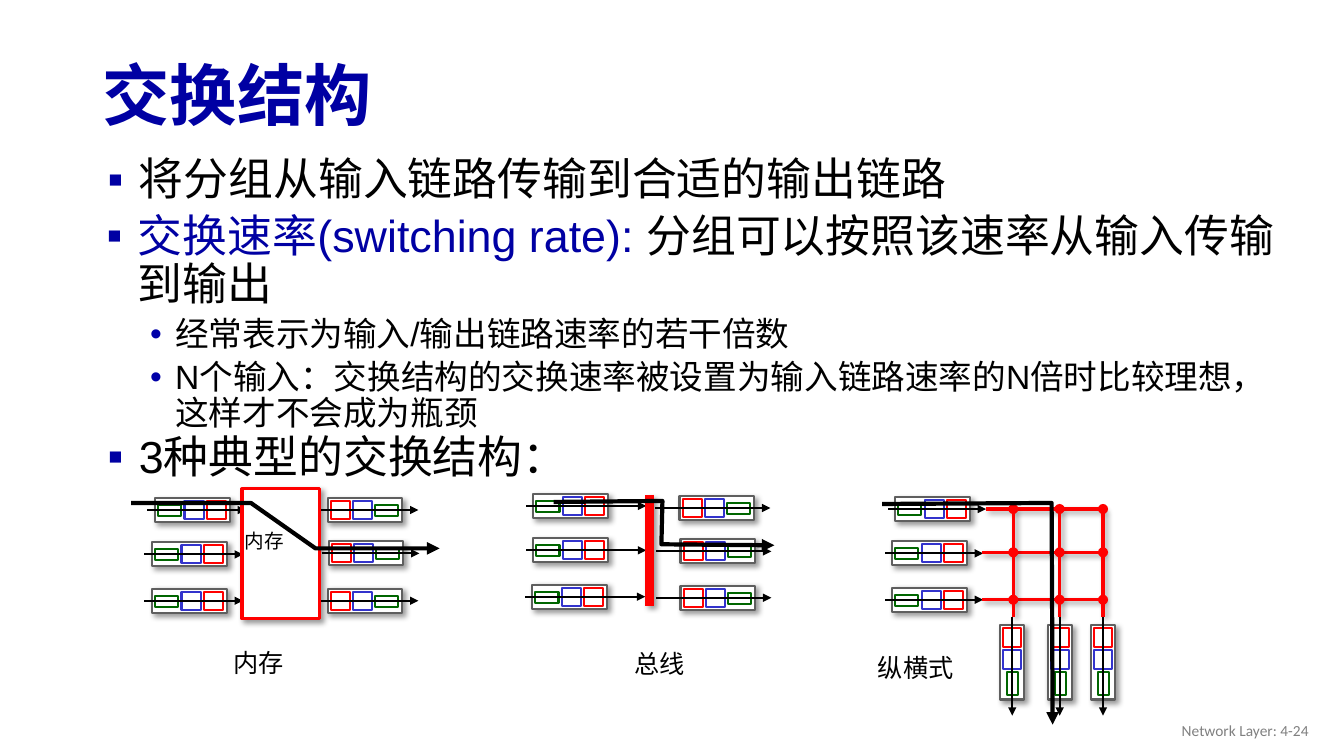
from pptx import Presentation
from pptx.dml.color import RGBColor
from pptx.enum.shapes import MSO_CONNECTOR, MSO_SHAPE
from pptx.enum.text import MSO_ANCHOR, MSO_AUTO_SIZE, PP_ALIGN
from pptx.oxml import parse_xml
from pptx.oxml.ns import nsdecls, qn
from pptx.util import Pt

PX = 9144
RECT, OVAL = MSO_SHAPE.RECTANGLE, MSO_SHAPE.OVAL
STRAIGHT = MSO_CONNECTOR.STRAIGHT
TOP, MIDDLE = MSO_ANCHOR.TOP, MSO_ANCHOR.MIDDLE
LEFT, RIGHT = PP_ALIGN.LEFT, PP_ALIGN.RIGHT
NAVY, BLACK, WHITE, GRAY = "0000A3", "000000", "FFFFFF", "808080"
RED, BLUE, GREEN, FRAME = "FF0000", "3333CC", "006600", "5F5F5F"
SHADOW = (
    '<a:outerShdw blurRad="50800" dist="38100" dir="2700000" algn="tl" rotWithShape="0">'
    '<a:srgbClr val="000000"><a:alpha val="40000"/></a:srgbClr></a:outerShdw>'
)

prs = Presentation()
prs.slide_width, prs.slide_height = 1333 * PX, 750 * PX
slide = prs.slides.add_slide(prs.slide_layouts[6])
shapes = slide.shapes


def style(shape, line=None, width=1.5, fill=None, shadow=False, arrow=False):
    if fill:
        shape.fill.solid()
        shape.fill.fore_color.rgb = RGBColor.from_string(fill)
    if line:
        shape.line.color.rgb = RGBColor.from_string(line)
        shape.line.width = Pt(width)
    else:
        shape.line.fill.background()
    properties = shape._element.spPr
    if arrow:
        properties.find(qn("a:ln")).append(parse_xml(f'<a:tailEnd {nsdecls("a")} type="triangle"/>'))
    effects = SHADOW if shadow else ""
    properties.append(parse_xml(f'<a:effectLst {nsdecls("a")}>{effects}</a:effectLst>'))


def write_text(box, *runs, frame=None, size=18, color=BLACK, font="Arial", bold=False,
               align=LEFT, anchor=TOP, wrap=True, spacing=1.0, before=0,
               bullet=None, bullet_color=NAVY, level=0, margin=0, indent=0):
    if frame is None:
        frame = shapes.add_textbox(*[v * PX for v in box]).text_frame
        frame.word_wrap = wrap
        frame.vertical_anchor = anchor
        frame.auto_size = MSO_AUTO_SIZE.NONE if wrap else MSO_AUTO_SIZE.SHAPE_TO_FIT_TEXT
        paragraph = frame.paragraphs[0]
    else:
        paragraph = frame.add_paragraph()
    paragraph.alignment, paragraph.level = align, level
    paragraph.line_spacing, paragraph.space_before = spacing, Pt(before)
    if bullet:
        properties = paragraph._p.get_or_add_pPr()
        properties.set("marL", str(margin * PX))
        properties.set("indent", str(indent * PX))
        for xml in (f'<a:buClr {nsdecls("a")}><a:srgbClr val="{bullet_color}"/></a:buClr>',
                    f'<a:buFont {nsdecls("a")} typeface="Arial"/>',
                    f'<a:buChar {nsdecls("a")} char="{bullet}"/>'):
            properties.append(parse_xml(xml))
    for text, run_color in runs:
        run = paragraph.add_run()
        run.text = text
        run.font.name, run.font.size, run.font.bold = font, Pt(size), bold
        run.font.color.rgb = RGBColor.from_string(run_color or color)
    return frame


write_text((92, 49, 1150, 98), ("交换结构", None), size=48, color=NAVY, bold=True,
           anchor=MIDDLE, spacing=0.9)

HEADER, DATA, TAIL = (23, 11), (19, 18), (19, 18)
inbound = [(3, 7, HEADER, GREEN), (29, 3, DATA, BLUE), (51, 3, TAIL, RED)]
outbound = [(47, 7, HEADER, GREEN), (25, 3, DATA, BLUE), (3, 3, TAIL, RED)]
packet_groups = [
    ([(529, 490), (529, 534), (528, 580)], inbound, False, 7, 112),
    ([(674, 492), (675, 535), (675, 581)], outbound, False, 24, 90),
    ([(154, 494), (151, 538), (151, 584)], inbound, False, 8, 90),
    ([(325, 494), (326, 537), (325, 584)], outbound, False, 7, 90),
    ([(888, 493), (885, 537), (885, 583)], inbound, False, 7, 90),
    ([(1082, 620), (1039, 620), (992, 620)], outbound, True, 8, 90),
]
for corners, fields, downward, lead, reach in packet_groups:
    for left, top in corners:
        for dx, dy, (width, height), outline in [(0, 0, (74, 24), FRAME), *fields]:
            if downward:
                dx, dy, width, height = dy, dx, height, width
            field = shapes.add_shape(RECT, (left + dx) * PX, (top + dy) * PX, width * PX, height * PX)
            style(field, outline, fill=WHITE, shadow=outline == FRAME)
        if downward:
            ends = left + 12, top - lead, left + 12, top + reach
        else:
            ends = left - lead, top + 12, left + reach, top + 12
        style(shapes.add_connector(STRAIGHT, *[v * PX for v in ends]), BLACK, arrow=True)

memory = shapes.add_shape(RECT, 240 * PX, 485 * PX, 77 * PX, 129 * PX)
style(memory, RED, 2.25, WHITE, shadow=True)
bus = shapes.add_connector(STRAIGHT, 644 * PX, 491 * PX, 644 * PX, 601 * PX)
style(bus, RED, 6, shadow=True)

crossbar_rows = [(978, 505), (974, 548), (974, 595)]
crossbar_columns = [1005, 1051, 1094]
crossbar_wires = [(start, y, 1094, y) for start, y in crossbar_rows]
crossbar_wires += [(x, 612, x, 505) for x in crossbar_columns]
for wire in crossbar_wires:
    style(shapes.add_connector(STRAIGHT, *[v * PX for v in wire]), RED, 2.25, shadow=True)
for x in crossbar_columns:
    for _, y in crossbar_rows:
        crosspoint = shapes.add_shape(OVAL, (x - 5) * PX, (y - 5) * PX, 10 * PX, 10 * PX)
        style(crosspoint, fill=RED)

for box, caption, size in [
    ((222, 637, 71, 40), "内存", 18),
    ((233, 520, 59, 34), "内存", 14),
    ((619, 638, 71, 40), "总线", 18),
    ((861, 642, 96, 40), "纵横式", 18),
]:
    write_text(box, (caption, None), size=size, wrap=False)

for start, *bends in [
    [(130, 499), (249, 499), (313, 544), (436, 544)],
    [(549, 498), (657, 497), (656, 540), (768, 541)],
    [(875, 500), (1043, 499), (1044, 719)],
]:
    builder = shapes.build_freeform(*start, scale=PX)
    builder.add_line_segments(bends, close=False)
    route = builder.convert_to_shape()
    route.fill.background()
    style(route, BLACK, 3, arrow=True)

topic = dict(size=32, spacing=0.9, bullet="▪", margin=39, indent=-31)
detail = dict(size=24, spacing=0.9, before=5, bullet="•", bullet_color="0000A8",
              level=1, margin=76, indent=-25)
write_text((89, 426, 1207, 72), ("3种典型的交换结构：", None), **topic)
write_text((89, 151, 1207, 69), ("将分组从输入链路传输到合适的输出链路", None), **topic)
rate = write_text((88, 207, 1207, 253), ("交换速率(switching rate): ", NAVY),
                  ("分组可以按照该速率从输入传输到输出", None), **topic)
for text in ("经常表示为输入/输出链路速率的若干倍数",
             "N个输入：交换结构的交换速率被设置为输入链路速率的N倍时比较理想，这样才不会成为瓶颈"):
    write_text(None, (text, None), frame=rate, **detail)

write_text((1008, 705, 300, 40), ("Network Layer: 4-24", None), size=11, color=GRAY,
           font="Calibri", align=RIGHT, anchor=MIDDLE)

prs.save("out.pptx")
